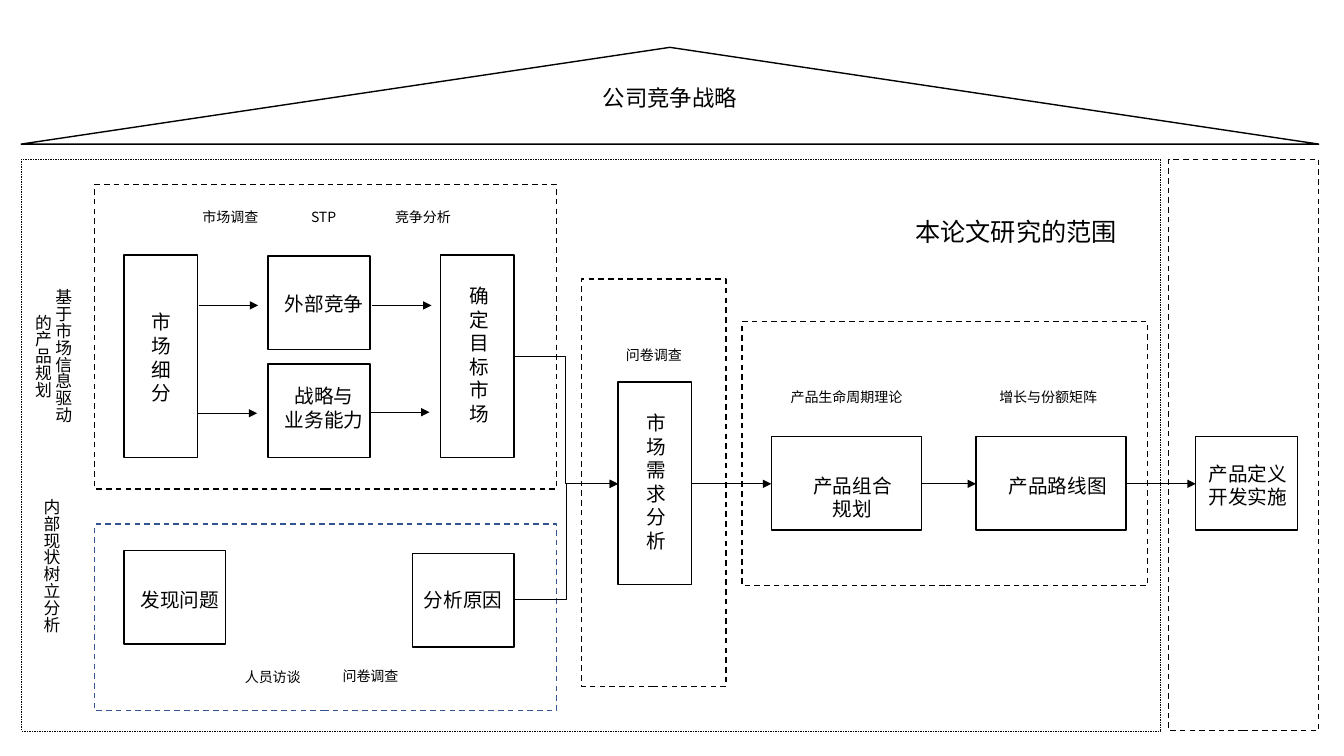
from lxml import etree
from pptx import Presentation
from pptx import util as u
from pptx.dml.color import RGBColor
from pptx.enum import dml, shapes, text
from pptx.oxml.ns import qn

COLORS = {"ink": "000000", "blue": "325491"}
FONT = "Noto Sans CJK SC"
COLUMNS, ROWS = 133.3, 75
CELL = u.Inches(0.1)
BLANK_LAYOUT = 6
PILLAR = (7.3, 20.1)
SQUARE = (10.1, 9.3)
WIDE = (14.9, 9.3)


def grid(*cells):
    """Turn grid columns or rows into slide lengths."""
    return [u.Emu(round(cell * CELL)) for cell in cells]


def style_line(line, weight, color="ink", dashed=False):
    """Give an outline its colour, weight and dash."""
    line.color.rgb = RGBColor.from_string(COLORS[color])
    line.width = u.Pt(weight)
    if dashed:
        line.dash_style = dml.MSO_LINE.DASH


def outline(slide, area, kind=shapes.MSO_SHAPE.RECTANGLE, weight=1, color="ink", dashed=False):
    """Draw an unfilled shape over a grid area."""
    figure = slide.shapes.add_shape(kind, *grid(*area))
    figure.shadow.inherit = False
    figure.fill.background()
    style_line(figure.line, weight, color, dashed)


def label(slide, area, *lines, size=14, wrap=True, vertical=False,
          anchor=text.MSO_ANCHOR.TOP, align=text.PP_ALIGN.CENTER):
    """Write one paragraph per line over a grid area."""
    frame = slide.shapes.add_textbox(*grid(*area)).text_frame
    frame.word_wrap = wrap
    frame.vertical_anchor = anchor
    if vertical:
        frame._txBody.bodyPr.set("vert", "eaVert")
    for index, wording in enumerate(lines):
        paragraph = frame.add_paragraph() if index else frame.paragraphs[0]
        paragraph.alignment = align
        paragraph.line_spacing = u.Pt(size * 1.2)
        run = paragraph.add_run()
        run.text = wording
        run.font.size = u.Pt(size)
        run.font.name = FONT
        run.font.color.rgb = RGBColor.from_string(COLORS["ink"])
        etree.SubElement(run.font._element, qn("a:ea"), typeface=FONT)


def step(slide, corner, size, label_area, *lines, wrap=False):
    """Draw a process step with its label."""
    outline(slide, (*corner, *size))
    label(slide, label_area, *lines, wrap=wrap)


def arrow(slide, start, end, kind=shapes.MSO_CONNECTOR.STRAIGHT):
    """Connect two grid points with an arrowhead at the end."""
    link = slide.shapes.add_connector(kind, *grid(*start, *end))
    style_line(link.line, 0.5)
    etree.SubElement(link.line._get_or_add_ln(), qn("a:tailEnd"), type="triangle")
    etree.SubElement(link._element.spPr, qn("a:effectLst"))


def draw_roof(slide):
    """Draw the strategy roof over the whole model."""
    outline(slide, (2.1, 4.7, 128.7, 9.6), shapes.MSO_SHAPE.ISOSCELES_TRIANGLE)
    label(slide, (58.4, 7.7, 16.1, 4), "公司竞争战略", size=16, wrap=False,
          anchor=text.MSO_ANCHOR.MIDDLE)


def draw_steps(slide):
    """Draw every process step of the planning model."""
    step(slide, (12.3, 25.3), PILLAR, (14, 30.3, 4, 10.4), *"市场细分", wrap=True)
    step(slide, (43.7, 25.3), PILLAR, (45.5, 27.7, 4, 15.1), "确定目标市场", wrap=True)
    step(slide, (61.3, 37.9), PILLAR, (63.1, 40.3, 4, 15.1), "市场需求分析", wrap=True)
    step(slide, (26.6, 25.4), SQUARE, (27.2, 28.5, 9.9, 3.4), "外部竞争")
    step(slide, (26.6, 36.1), SQUARE, (27.2, 37.6, 9.9, 5.7), "战略与", "业务能力")
    step(slide, (12.3, 54.6), SQUARE, (12.9, 57.8, 9.9, 3.4), "发现问题")
    step(slide, (40.9, 54.9), SQUARE, (41, 57.8, 9.9, 3.4), "分析原因")
    step(slide, (118.6, 43.3), SQUARE, (118.8, 45.3, 9.9, 5.7), "产品定义", "开发实施")
    step(slide, (76.5, 43.3), WIDE, (78.9, 46.5, 11.3, 3.4), "产品组合规划", wrap=True)
    step(slide, (96.8, 43.3), WIDE, (99, 46.5, 11.8, 3.4), "产品路线图")


def draw_labels(slide):
    """Write the method names, the side headings and the scope."""
    methods = [
        ("市场调查", 17, 20.2, 11.7), ("STP", 29.1, 20.2, 6), ("竞争分析", 35.1, 20.2, 13.7),
        ("人员访谈", 21.2, 65.8, 11.7), ("问卷调查", 29.6, 65.7, 14.3),
        ("问卷调查", 57.7, 33.9, 14.3), ("产品生命周期理论", 74.6, 38.1, 18.7),
        ("增长与份额矩阵", 96, 38.1, 15.9),
    ]
    for method, left, top, width in methods:
        label(slide, (left, top, width, 2.7), method, size=10)
    headings = [("基于市场信息驱动的产品规划", (2.2, 27.7, 6.1, 15.5)),
                ("内部现状树立分析", (3.1, 48.5, 4, 19.6))]
    for heading, area in headings:
        label(slide, area, heading, size=12, vertical=True, anchor=text.MSO_ANCHOR.MIDDLE)
    label(slide, (89.8, 21, 23, 4), "本论文研究的范围", size=18, wrap=False,
          align=text.PP_ALIGN.LEFT)


def draw_frames(slide):
    """Draw the dashed frames around the stages."""
    for stage in [(9.4, 18.3, 45.8, 30.2), (57.7, 27.7, 14.3, 40.4),
                  (73.6, 31.9, 40.2, 26.2), (115.9, 15.8, 14.9, 56.7)]:
        outline(slide, stage, dashed=True)
    outline(slide, (9.4, 52, 45.8, 18.5), color="blue", dashed=True)
    outline(slide, (2.1, 15.8, 113, 56.7), weight=0.25, dashed=True)


def draw_flow(slide):
    """Draw the arrows between the steps."""
    for left, row in [(19.7, 30.3), (19.6, 41), (36.9, 30.3), (36.7, 40.9)]:
        arrow(slide, (left, row), (left + 5.9, row))
    for left, right in [(68.6, 76.5), (91.4, 96.8), (111.7, 118.6)]:
        arrow(slide, (left, 48), (right, 48))
    for start in [(50.9, 35.4), (51, 59.5)]:
        arrow(slide, start, (61.3, 48), shapes.MSO_CONNECTOR.ELBOW)


def main():
    """Build the planning model slide and save it."""
    deck = Presentation()
    deck.slide_width, deck.slide_height = grid(COLUMNS, ROWS)
    slide = deck.slides.add_slide(deck.slide_layouts[BLANK_LAYOUT])
    for draw in (draw_roof, draw_steps, draw_labels, draw_frames, draw_flow):
        draw(slide)
    deck.save("out.pptx")


if __name__ == "__main__":
    main()
